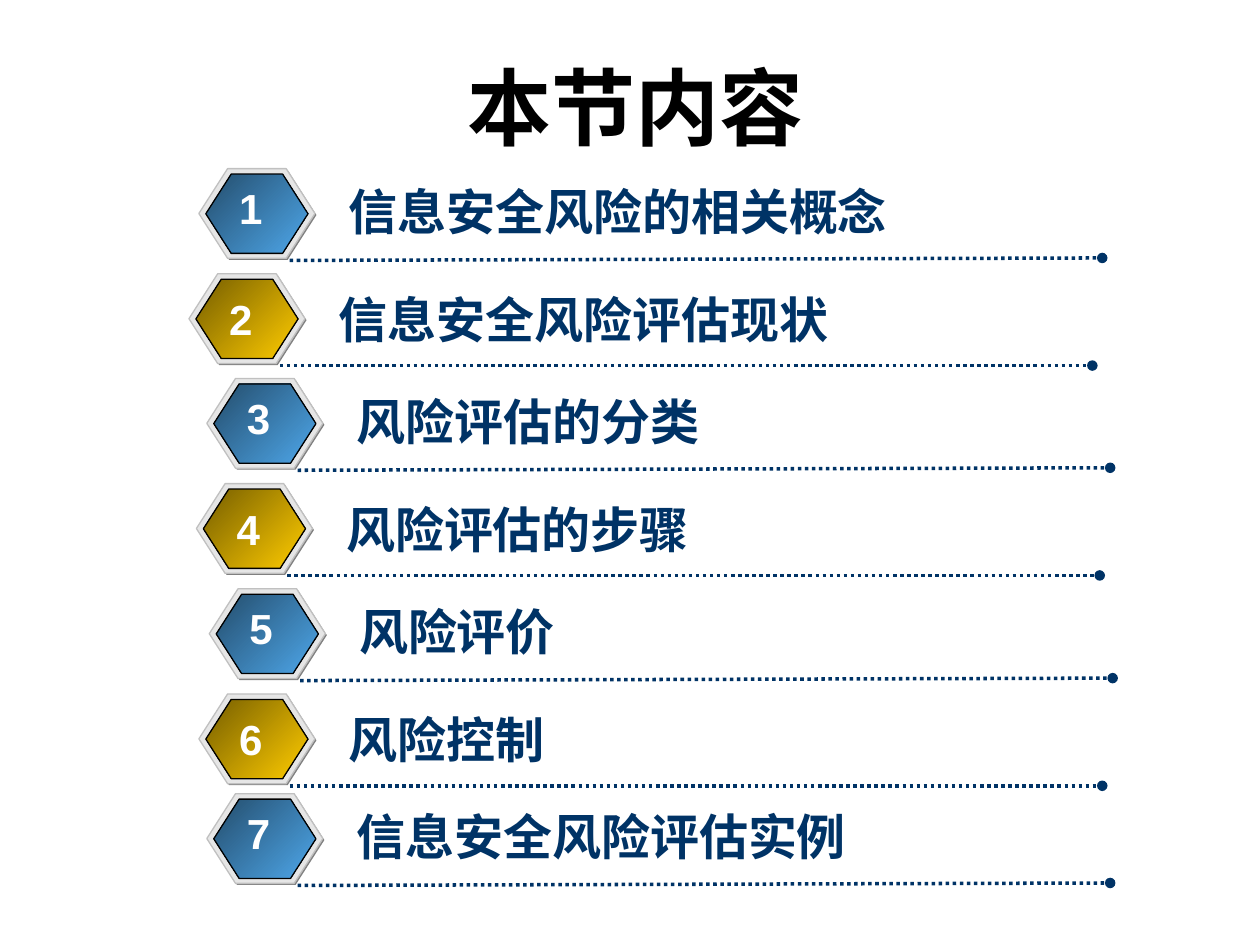
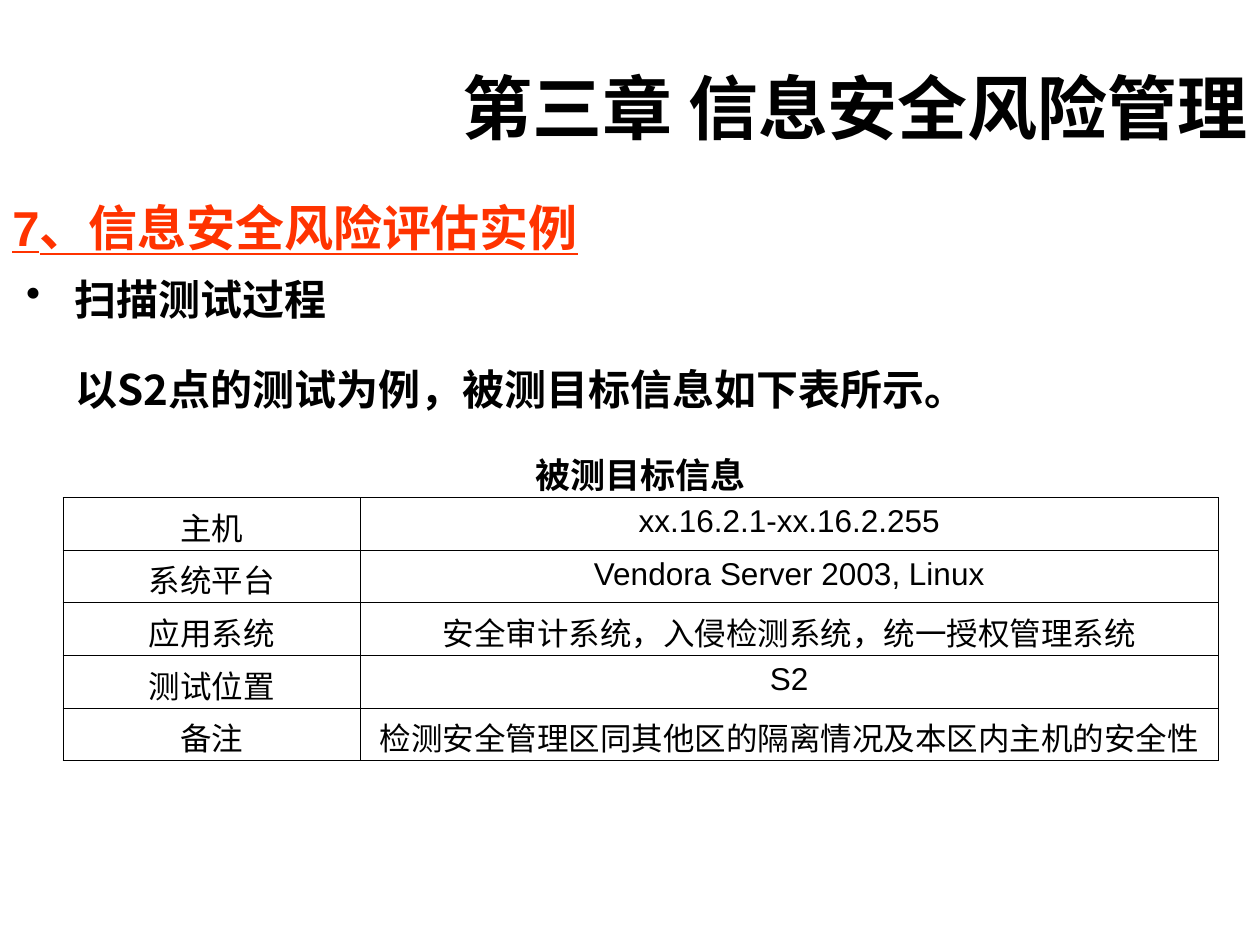
from lxml import etree
from pptx import Presentation
from pptx import util as u
from pptx.dml.color import RGBColor
from pptx.enum import dml, shapes, text
from pptx.oxml import ns

COLORS = {
    "ink": "000000", "navy": "003366", "accent": "FF3300", "white": "FFFFFF",
    "shadow": "808080", "rim": "E6E6E6", "rim_line": "C0C0C0",
}
BADGE_GRADIENTS = [("244D6C", "4EA7EA"), ("765E00", "FFCC00")]
LATIN, HAN, TITLE_HAN = "Arial", "Noto Sans CJK JP", "Noto Sans CJK SC"

AGENDA_TITLE = "本节内容"
AGENDA = [
    ("信息安全风险的相关概念", HAN, 4.01, 3.4),
    ("信息安全风险评估现状", HAN, 3.81, 5.52),
    ("风险评估的分类", LATIN, 4.17, 7.63),
    ("风险评估的步骤", HAN, 3.96, 9.75),
    ("风险评价", LATIN, 4.22, 11.87),
    ("风险控制", HAN, 4.01, 13.99),
    ("信息安全风险评估实例", LATIN, 4.17, 16.0),
]

CHAPTER_TITLE = "第三章 信息安全风险管理"
SECTION = "7、信息安全风险评估实例"
STEP = "扫描测试过程"
EXAMPLE = "以S2点的测试为例，被测目标信息如下表所示。"
CAPTION = "被测目标信息"
TARGET = [
    ("主机", "xx.16.2.1-xx.16.2.255"),
    ("系统平台", "Vendora Server 2003, Linux"),
    ("应用系统", "安全审计系统，入侵检测系统，统一授权管理系统"),
    ("测试位置", "S2"),
    ("备注", "检测安全管理区同其他区的隔离情况及本区内主机的安全性"),
]
TARGET_COLUMNS = (5.99, 17.3)
TARGET_ROW = 1.06

ALIGN = text.PP_ALIGN


def rgb(name):
    return RGBColor.from_string(COLORS.get(name, name))


def add_element(parent, tag, **attributes):
    return etree.SubElement(parent, ns.qn(tag), attributes)


def style(paragraph, size, face, color="ink", bold=True, align=ALIGN.LEFT):
    paragraph.alignment = align
    font = paragraph.font
    font.size, font.name, font.bold = u.Pt(size), face, bold
    font.color.rgb = rgb(color)
    add_element(font._element, "a:ea", typeface=HAN if face == LATIN else face)
    return font


def add_text(slide, words, box, size, face, color="ink", align=ALIGN.LEFT,
             middle=False, wrap=True, bullet=False):
    frame = slide.shapes.add_textbox(*map(u.Cm, box)).text_frame
    frame.word_wrap = wrap
    if not wrap:
        frame.auto_size = text.MSO_AUTO_SIZE.SHAPE_TO_FIT_TEXT
    if middle:
        frame.vertical_anchor = text.MSO_ANCHOR.MIDDLE
    paragraph = frame.paragraphs[0]
    paragraph.text = words
    if bullet:
        properties = paragraph._p.get_or_add_pPr()
        properties.set("marL", str(u.Cm(0.97)))
        properties.set("indent", str(u.Cm(-0.97)))
        add_element(add_element(properties, "a:buClr"), "a:srgbClr", val=COLORS["ink"])
        add_element(properties, "a:buChar", char="•")
    return style(paragraph, size, face, color, align=align)


def add_title(slide, words, left, size, align):
    add_text(slide, words, (left, 1.47, 21.39, 1.35), size, TITLE_HAN,
             align=align, middle=True)


def add_hexagon(slide, left, top, width, height, fill, line=None):
    hexagon = slide.shapes.add_shape(
        shapes.MSO_SHAPE.HEXAGON, *map(u.Cm, (left, top, width, height)))
    hexagon.shadow.inherit = False
    hexagon.adjustments[0] = 0.32
    if isinstance(fill, tuple):
        hexagon.fill.gradient()
        hexagon.fill.gradient_angle = 315
        for stop, color, position in zip(hexagon.fill.gradient_stops, fill, (0, 1)):
            stop.color.rgb = rgb(color)
            stop.position = position
    else:
        hexagon.fill.solid()
        hexagon.fill.fore_color.rgb = rgb(fill)
    if line:
        hexagon.line.color.rgb = rgb(line)
        hexagon.line.width = u.Pt(0.75)
    else:
        hexagon.line.fill.background()


def add_dotted_rule(slide, left, top, end_top):
    rule = slide.shapes.add_connector(
        shapes.MSO_CONNECTOR.STRAIGHT, *map(u.Cm, (left, top, left + 16.38, end_top)))
    rule.line.color.rgb = rgb("navy")
    rule.line.width = u.Pt(2)
    rule.line.dash_style = dml.MSO_LINE.ROUND_DOT
    add_element(rule.line._get_or_add_ln(), "a:tailEnd", type="oval")
    add_element(rule._element.spPr, "a:effectLst")


def add_agenda_item(slide, index, topic, face, left, top):
    even = index % 2
    label_drop, number_drop, rule_end = ((0.14, 0.15, 1.8), (0.19, 0.27, 1.85))[even]
    add_dotted_rule(slide, left + 1.83, top + 1.85, top + rule_end)
    add_text(slide, topic, (left + 2.77, top + label_drop, len(topic) * 0.99 + 0.51, 1.45),
             28, face, "navy", wrap=False)
    add_hexagon(slide, left + 0.03, top + 0.03, 2.34, 1.81, "shadow")
    add_hexagon(slide, left, top, 2.34, 1.81, "rim", "rim_line")
    add_hexagon(slide, left + 0.14, top + 0.11, 2.06, 1.6, BADGE_GRADIENTS[even], "ink")
    add_text(slide, str(index + 1), (left + 0.56, top + number_drop, 0.97, 1.27),
             24, LATIN, "white", ALIGN.CENTER, wrap=False)


def add_cell_borders(cell):
    properties = cell._tc.get_or_add_tcPr()
    for position, side in enumerate(("a:lnL", "a:lnR", "a:lnT", "a:lnB")):
        border = add_element(properties, side, w=str(u.Pt(0.45)))
        add_element(add_element(border, "a:solidFill"), "a:srgbClr", val=COLORS["ink"])
        properties.insert(position, border)


def add_target_table(slide, left, top):
    table = slide.shapes.add_table(
        len(TARGET), len(TARGET_COLUMNS), u.Cm(left), u.Cm(top),
        u.Cm(sum(TARGET_COLUMNS)), u.Cm(TARGET_ROW * len(TARGET))).table
    table.first_row = table.horz_banding = False
    for column, width in zip(table.columns, TARGET_COLUMNS):
        column.width = u.Cm(width)
    for row, facts in zip(table.rows, TARGET):
        row.height = u.Cm(TARGET_ROW)
        for cell, fact in zip(row.cells, facts):
            cell.text = fact
            cell.margin_bottom = 0
            cell.fill.background()
            add_cell_borders(cell)
            style(cell.text_frame.paragraphs[0], 18, LATIN, bold=False, align=ALIGN.CENTER)


def build_agenda(slide):
    add_title(slide, AGENDA_TITLE, 2.11, 48, ALIGN.CENTER)
    for index, item in enumerate(AGENDA):
        add_agenda_item(slide, index, *item)


def build_example(slide):
    add_title(slide, CHAPTER_TITLE, 4.01, 40, ALIGN.RIGHT)
    section_font = add_text(slide, SECTION, (0, 3.86, 25.4, 1.45), 28, LATIN, "accent")
    section_font.underline = True
    add_text(slide, STEP, (0.28, 5.38, 24.28, 1.27), 24, HAN, middle=True, bullet=True)
    add_text(slide, EXAMPLE, (1.27, 7.21, 23.6, 1.27), 24, HAN, middle=True)
    add_target_table(slide, 1.27, 10.03)
    add_text(slide, CAPTION, (10.54, 9.02, 4.75, 1.12), 20, HAN, wrap=False)


def main():
    deck = Presentation()
    deck.slide_width, deck.slide_height = u.Cm(25.4), u.Cm(19.05)
    for build in (build_agenda, build_example):
        build(deck.slides.add_slide(deck.slide_layouts[6]))
    deck.save("out.pptx")


if __name__ == "__main__":
    main()
